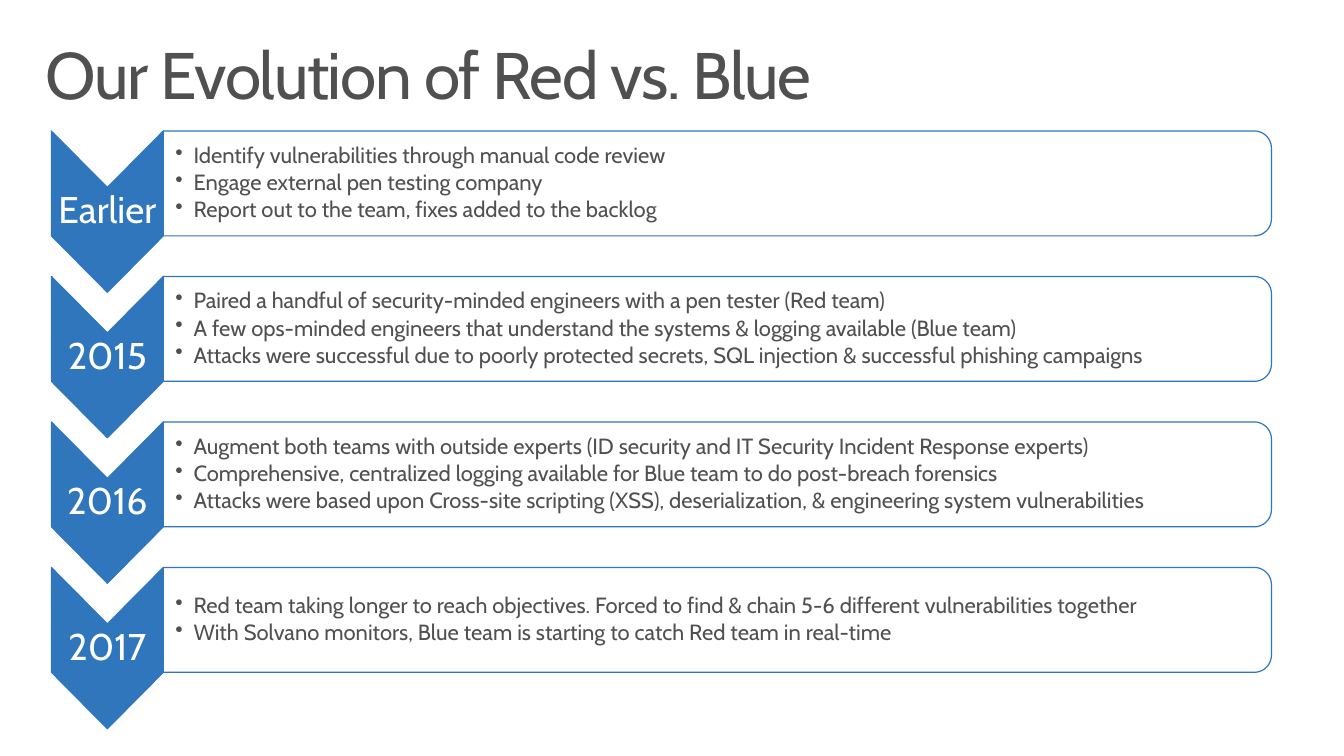
from dataclasses import dataclass
from math import cos, pi, sin
from typing import Optional

from lxml.etree import SubElement
from pptx import Presentation
from pptx.dml.color import RGBColor
from pptx.enum.text import MSO_ANCHOR, PP_ALIGN
from pptx.oxml.ns import qn
from pptx.shapes.autoshape import Shape
from pptx.slide import Slide
from pptx.text.text import TextFrame
from pptx.util import Inches, Pt

Point = tuple[float, float]
Insets = tuple[float, float, float, float]


@dataclass(frozen=True)
class Theme:
    font: str = "Cabin"
    ink: RGBColor = RGBColor(0x50, 0x50, 0x50)
    accent: RGBColor = RGBColor(0x2F, 0x76, 0xBC)
    white: RGBColor = RGBColor(0xFF, 0xFF, 0xFF)
    title_size: float = 47
    period_size: float = 26.5
    body_size: float = 15.7
    outline: float = 0.85
    panel_opacity: int = 90


@dataclass(frozen=True)
class Stage:
    period: str
    points: tuple[str, ...]


THEME = Theme()
STAGES = (
    Stage("Earlier", (
        "Identify vulnerabilities through manual code review",
        "Engage external pen testing company",
        "Report out to the team, fixes added to the backlog",
    )),
    Stage("2015", (
        "Paired a handful of security-minded engineers with a pen tester (Red team)",
        "A few ops-minded engineers that understand the systems & logging available (Blue team)",
        "Attacks were successful due to poorly protected secrets, SQL injection & successful phishing campaigns",
    )),
    Stage("2016", (
        "Augment both teams with outside experts (ID security and IT Security Incident Response experts)",
        "Comprehensive, centralized logging available for Blue team to do post-breach forensics",
        "Attacks were based upon Cross-site scripting (XSS), deserialization, & engineering system vulnerabilities",
    )),
    Stage("2017", (
        "Red team taking longer to reach objectives. Forced to find & chain 5-6 different vulnerabilities together",
        "With Solvano monitors, Blue team is starting to catch Red team in real-time",
    )),
)

FIRST_TOP, LAST_TOP = 1.3, 5.63
PITCH = (LAST_TOP - FIRST_TOP) / (len(STAGES) - 1)
LEFT, PANEL_LEFT, RIGHT = 0.51, 1.62, 12.61
PANEL_HEIGHT = 1.04
NOTCH = 0.56
CORNER = 0.17
CORNER_STEPS = 12


def write_text(frame: TextFrame, lines: tuple[str, ...], *, size: float, color: RGBColor,
               insets: Insets, anchor: MSO_ANCHOR = MSO_ANCHOR.MIDDLE,
               align: PP_ALIGN = PP_ALIGN.LEFT, space_after: float = 0,
               bulleted: bool = False, tracking: Optional[int] = None) -> None:
    """Fill a frame with paragraphs; tracking is in hundredths of a point."""
    frame.word_wrap = True
    frame.vertical_anchor = anchor
    (frame.margin_left, frame.margin_top,
     frame.margin_right, frame.margin_bottom) = map(Inches, insets)
    for index, line in enumerate(lines):
        paragraph = frame.add_paragraph() if index else frame.paragraphs[0]
        if bulleted:
            paragraph.level = 1
            properties = paragraph._p.get_or_add_pPr()
            properties.set("marL", str(Inches(0.18)))
            properties.set("indent", str(Inches(-0.18)))
            SubElement(properties, qn("a:buChar"), char="•")
        paragraph.alignment = align
        paragraph.line_spacing = 0.9
        paragraph.space_before = Pt(0)
        paragraph.space_after = Pt(space_after)
        run = paragraph.add_run()
        run.text = line
        run.font.name = THEME.font
        run.font.size = Pt(size)
        run.font.color.rgb = color
        if tracking is not None:
            run.font._element.set("spc", str(tracking))


def add_outline(slide: Slide, points: list[Point], fill: RGBColor) -> Shape:
    """Draw a closed polygon through points given in inches."""
    corners = [(Inches(x), Inches(y)) for x, y in points]
    builder = slide.shapes.build_freeform(*corners[0])
    builder.add_line_segments(corners[1:], close=True)
    shape = builder.convert_to_shape()
    shape.shadow.inherit = False
    shape.fill.solid()
    shape.fill.fore_color.rgb = fill
    shape.line.color.rgb = THEME.accent
    shape.line.width = Pt(THEME.outline)
    return shape


def add_period_arrow(slide: Slide, period: str, top: float) -> None:
    middle = (LEFT + PANEL_LEFT) / 2
    bottom = top + PANEL_HEIGHT
    arrow = add_outline(slide, [
        (LEFT, top), (middle, top + NOTCH), (PANEL_LEFT, top),
        (PANEL_LEFT, bottom), (middle, bottom + NOTCH), (LEFT, bottom),
    ], THEME.accent)
    write_text(arrow.text_frame, (period,), size=THEME.period_size, color=THEME.white,
               insets=(0.02, 0.58, 0.02, 0.58), align=PP_ALIGN.CENTER, space_after=9.3)


def add_points_panel(slide: Slide, points: tuple[str, ...], top: float) -> None:
    """Draw the panel with rounded right corners and its bullets."""
    bottom = top + PANEL_HEIGHT
    angles = [step * pi / 2 / CORNER_STEPS for step in range(CORNER_STEPS + 1)]
    center_x = RIGHT - CORNER
    upper = [(center_x + CORNER * sin(a), top + CORNER * (1 - cos(a))) for a in angles]
    lower = [(x, top + bottom - y) for x, y in reversed(upper)]
    panel = add_outline(
        slide, [(PANEL_LEFT, top), *upper, *lower, (PANEL_LEFT, bottom)], THEME.white)
    color = panel.fill._xPr.find(qn("a:solidFill"))[0]
    SubElement(color, qn("a:alpha"), val=str(THEME.panel_opacity * 1000))
    write_text(panel.text_frame, points, size=THEME.body_size, color=THEME.ink,
               insets=(0.12, 0.06, 0.06, 0.06), space_after=2.4, bulleted=True)


def main() -> None:
    presentation = Presentation()
    presentation.slide_width, presentation.slide_height = Inches(13.33), Inches(7.5)
    slide = presentation.slides.add_slide(presentation.slide_layouts.get_by_name("Title Only"))

    title = slide.shapes.title
    title.left, title.top = Inches(0.29), Inches(0.32)
    title.width, title.height = Inches(12.75), Inches(0.98)
    write_text(title.text_frame, ("Our Evolution of Red vs. Blue",), size=THEME.title_size,
               color=THEME.ink, insets=(0.16, 0.1, 0.16, 0.1),
               anchor=MSO_ANCHOR.TOP, tracking=-100)

    for index, stage in enumerate(STAGES):
        top = FIRST_TOP + index * PITCH
        add_period_arrow(slide, stage.period, top)
        add_points_panel(slide, stage.points, top)

    presentation.save("out.pptx")


if __name__ == "__main__":
    main()
